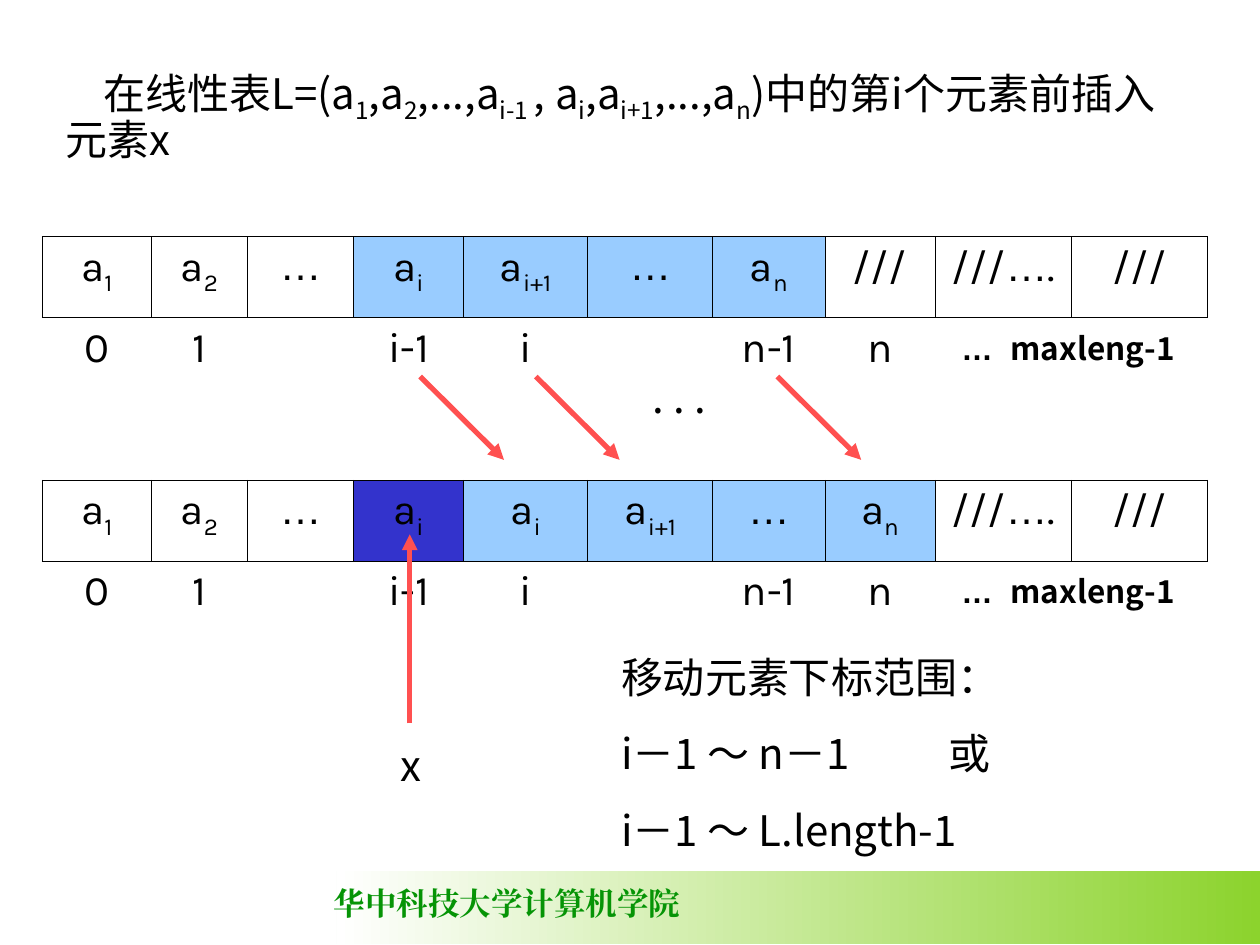
from itertools import groupby

from lxml import etree
from pptx import Presentation
from pptx import util as u
from pptx.dml.color import RGBColor
from pptx.enum import shapes, text
from pptx.oxml.ns import qn

SKY, BLUE, WHITE = "99CCFF", "3333CC", "FFFFFF"
NO_STYLE = "{2D5ABB26-0587-4C30-8999-92F81FD0307C}"


def tint(code):
    return RGBColor.from_string(code)


class Deck:
    sans, cell_font, dots = "Noto Sans CJK SC", "Karla", "Arial"
    ink, red, size = "000000", "FF5050", 24

    def __init__(self):
        self.prs = Presentation()
        self.prs.slide_width, self.prs.slide_height = u.Cm(25.4), u.Cm(19.05)
        self.slide = self.prs.slides.add_slide(self.prs.slide_layouts[5])

    def style(self, run, face, size=None, color=None, bold=False, sub=False):
        font = run.font
        font.name, font.size, font.bold = face, u.Pt(size or self.size), bold
        font.color.rgb = tint(color or self.ink)
        props = run._r.get_or_add_rPr()
        etree.SubElement(props, qn("a:ea")).set("typeface", face)
        if sub:
            props.set("baseline", "-25000")

    def fill_in(self, para, marked, face, **look):
        """Bars in marked switch subscript on and off; ellipses get their own face."""
        for n, part in enumerate(marked.split("|")):
            for dot, chars in groupby(part, lambda c: c == "…"):
                run = para.add_run()
                run.text = "".join(chars)
                self.style(run, self.dots if dot else face, sub=n % 2 == 1, **look)

    def indent(self, para, first):
        props = para._p.get_or_add_pPr()
        props.set("marL", "0")
        props.set("indent", str(u.Cm(first)))

    def tab(self, para, pos):
        tabs = etree.SubElement(para._p.get_or_add_pPr(), qn("a:tabLst"))
        stop = etree.SubElement(tabs, qn("a:tab"))
        stop.set("pos", str(u.Cm(pos)))
        stop.set("algn", "l")

    def title(self, marked, x, y, w, h):
        box = self.slide.shapes.title
        box.left, box.top, box.width, box.height = map(u.Cm, (x, y, w, h))
        frame = box.text_frame
        frame.auto_size = text.MSO_AUTO_SIZE.NONE
        frame.vertical_anchor = text.MSO_ANCHOR.TOP
        para = frame.paragraphs[0]
        para.alignment, para.line_spacing = text.PP_ALIGN.LEFT, 0.9
        self.indent(para, 0.76)
        self.fill_in(para, marked, self.sans)

    def label(self, words, x, y, w, h, face=None, wrap=True, stop=None, **look):
        box = self.slide.shapes.add_textbox(*map(u.Cm, (x, y, w, h)))
        frame = box.text_frame
        frame.text, frame.word_wrap = words, wrap
        frame.auto_size = text.MSO_AUTO_SIZE.SHAPE_TO_FIT_TEXT
        for n, para in enumerate(frame.paragraphs):
            if n:
                para.space_before = u.Pt(15)
            if stop and "\t" in para.text:
                self.tab(para, stop)
            for run in para.runs:
                self.style(run, face or self.sans, **look)

    def band(self, x, y, w, h, left, right):
        bar = self.slide.shapes.add_shape(
            shapes.MSO_SHAPE.RECTANGLE, *map(u.Cm, (x, y, w, h)))
        bar.shadow.inherit = False
        bar.line.fill.background()
        bar.fill.gradient()
        bar.fill.gradient_angle = 180
        for stop, code in zip(bar.fill.gradient_stops, (right, left)):
            stop.color.rgb = tint(code)

    def arrow(self, x1, y1, x2, y2):
        line = self.slide.shapes.add_connector(
            shapes.MSO_CONNECTOR.STRAIGHT, *map(u.Cm, (x1, y1, x2, y2)))
        line.line.color.rgb, line.line.width = tint(self.red), u.Pt(3)
        etree.SubElement(line.line._get_or_add_ln(), qn("a:tailEnd")).set("type", "triangle")
        etree.SubElement(line._element.spPr, qn("a:effectLst"))

    def edge(self, cell, sides):
        props = cell._tc.get_or_add_tcPr()
        for n, side in enumerate(sides):
            line = etree.Element(qn("a:ln" + side), w=str(u.Pt(0.45)))
            fill = etree.SubElement(line, qn("a:solidFill"))
            etree.SubElement(fill, qn("a:srgbClr")).set("val", self.ink)
            props.insert(n, line)

    def array(self, y, items, fills, marks, widths, x=0.85, high=1.63):
        grid = self.slide.shapes.add_table(
            2, len(widths), *map(u.Cm, (x, y, sum(widths), 2 * high))).table
        grid._tbl.tblPr.find(qn("a:tableStyleId")).text = NO_STYLE
        grid.first_row = grid.horz_banding = False
        for col, wide in zip(grid.columns, widths):
            col.width = u.Cm(wide)
        for row in grid.rows:
            row.height = u.Cm(high)
        # Stored elements above, their indexes below
        for r, words in enumerate((items, marks)):
            for c, word in enumerate(words):
                cell = grid.cell(r, c)
                if r == 0 and fills[c]:
                    cell.fill.solid()
                    cell.fill.fore_color.rgb = tint(fills[c])
                else:
                    cell.fill.background()
                para = cell.text_frame.paragraphs[0]
                para.alignment = text.PP_ALIGN.CENTER
                self.fill_in(para, word, self.cell_font)
                self.edge(cell, "T" if r else "LRTB")
        # The last index spans two columns
        last = [grid.cell(1, len(marks) + c) for c in (0, 1)]
        for cell in last:
            cell.fill.background()
            self.edge(cell, "T")
        last[0].merge(last[1])
        para = last[0].text_frame.paragraphs[0]
        self.indent(para, 0.28)
        self.tab(para, 1.17)
        self.fill_in(para, "…\tmaxleng-1", self.sans, size=18, bold=True)


def main():
    deck = Deck()

    # Footer band
    deck.band(6.78, 17.55, 18.62, 1.48, WHITE, "8CD32D")
    deck.label("华中科技大学计算机学院", 6.48, 17.7, 7.49, 1.02,
               face="Times New Roman", wrap=False, size=18, color="069406", bold=True)

    # Task
    deck.title("在线性表L=(a|1|,a|2|,...,a|i-1 |, a|i|,a|i+1|,...,a|n|)"
               "中的第i个元素前插入元素x", 1.07, 1.24, 23.29, 2.21)

    # Array before and after the insertion
    widths = [2.2, 1.94, 2.14, 2.21, 2.51, 2.52, 2.26, 2.22, 2.75, 2.75]
    marks = ["0", "1", "", "i-1", "i", "", "n-1", "n"]
    head, moved, free = ["a|1", "a|2", "…"], ["a|i", "a|i+1", "…", "a|n"], ["///….", "///"]
    none = [None] * 3
    deck.array(4.77, head + moved + ["///"] + free,
               none + [SKY] * 4 + [WHITE] * 3, marks, widths)
    deck.array(9.68, head + ["a|i"] + moved + free,
               none + [BLUE] + [SKY] * 4 + [WHITE] * 2, marks, widths)

    # Shift of each element by one place
    for x in (8.47, 10.8, 15.67):
        deck.arrow(x, 7.59, x + 1.69, 9.27)
    deck.label(". . .", 12.9, 7.37, 2.54, 1.27)

    # New element
    deck.label("x", 7.82, 14.78, 1.7, 1.27)
    deck.arrow(8.26, 14.58, 8.26, 10.77)

    # Range of moved indexes
    deck.label("移动元素下标范围：\ni－1 ～ n－1\t或\ni－1 ～ L.length-1",
               12.27, 13, 12.07, 4.37, stop=6.6)

    deck.prs.save("out.pptx")


if __name__ == "__main__":
    main()
